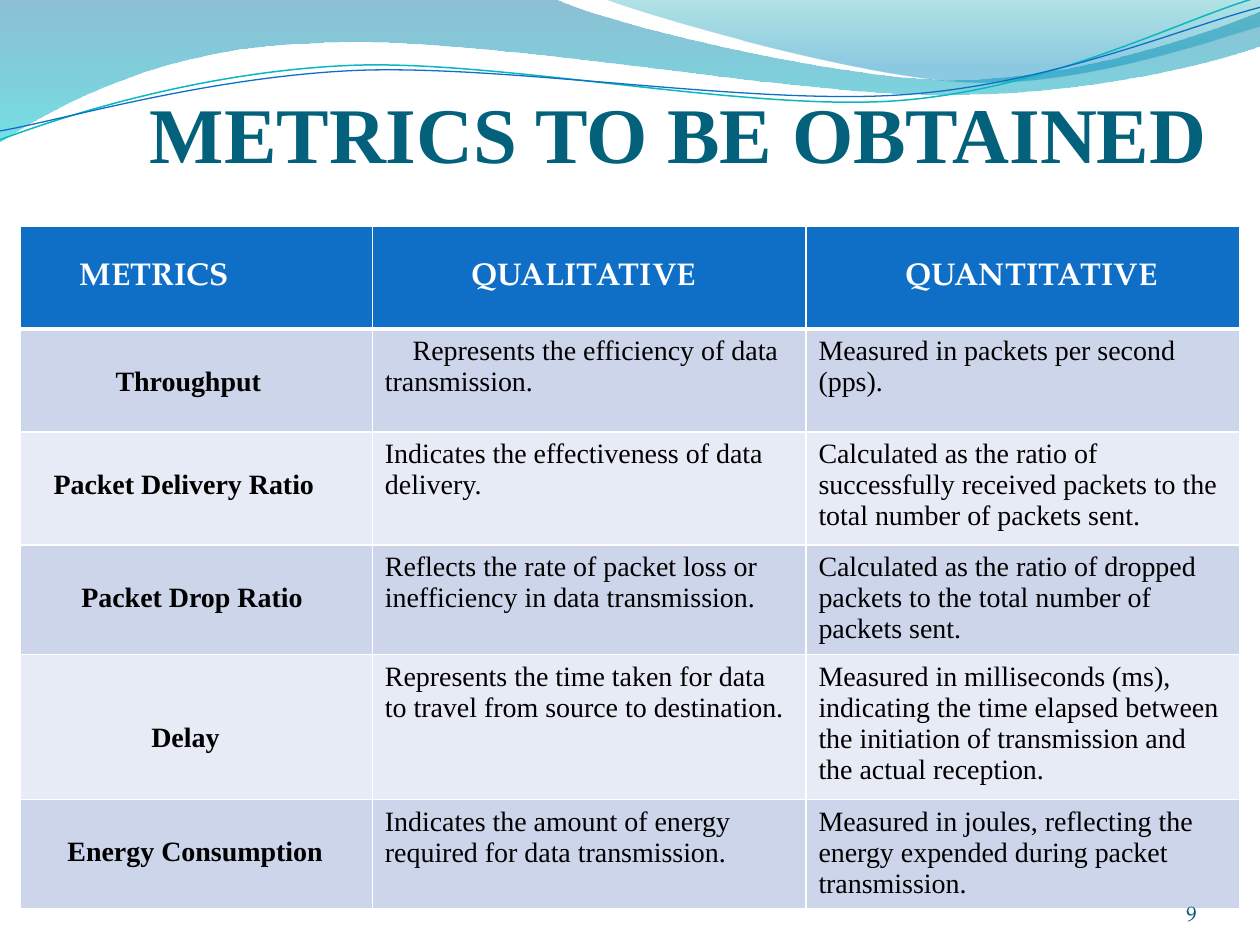
from dataclasses import dataclass

from lxml import etree
from pptx import Presentation
from pptx.dml.color import RGBColor
from pptx.enum.text import MSO_ANCHOR, MSO_AUTO_SIZE, PP_ALIGN
from pptx.oxml.ns import qn
from pptx.util import Cm, Pt

LEFT, RIGHT = PP_ALIGN.LEFT, PP_ALIGN.RIGHT
TOP, MIDDLE, BOTTOM = MSO_ANCHOR.TOP, MSO_ANCHOR.MIDDLE, MSO_ANCHOR.BOTTOM
TITLE_ONLY = 5


@dataclass(frozen=True)
class Theme:
    serif: str = "Times New Roman"
    display: str = "TeX Gyre Pagella"
    title: str = "04617B"
    number: str = "045D75"
    header: str = "0F6FC6"
    bands: tuple = ("CCD5EA", "E7EBF5")
    white: str = "FFFFFF"
    black: str = "000000"
    teal: str = "0AB8BF"
    title_size: float = 45
    header_size: float = 18
    body_size: float = 16
    number_size: float = 12


# Waves in cm: a pair is a straight step, six numbers are a Bezier curve
BAND = [(0, 0), (11.18, -0.03), (12.09, 0.43, 16.87, 1.6, 19.25, 1.6),
        (21.67, 1.6, 24.33, 0.66, 25.4, 0.23), (25.43, 0.91),
        (24.97, 1.12, 22.1, 1.93, 18.95, 1.91),
        (15.8, 1.91, 9.7, 0.71, 6.53, 0.86),
        (3.28, 0.91, 1.17, 2.11, -0.03, 2.87)]
CREST = [(12.17, -0.03), (12.93, 0.28, 17.32, 1.57, 19.53, 1.65),
         (21.74, 1.75, 24.41, 0.81, 25.4, 0.53), (25.4, 0)]
TEAL_LINE = [(0, 2.82), (1.22, 2.36, 4.01, 1.45, 7.04, 1.32),
             (10.03, 1.19, 15.06, 2.26, 18.11, 2.03),
             (21.16, 1.8, 23.83, 0.38, 25.35, -0.05)]
BLUE_LINE = [(0, 2.64), (1.19, 2.44, 4.17, 1.55, 7.19, 1.42),
             (10.24, 1.3, 15.16, 2.13, 18.21, 1.91),
             (21.23, 1.7, 23.9, 0.53, 25.4, 0.15)]

COLUMNS = [7.1, 8.74, 8.74]
HEADER_HEIGHT = 2.06
LINE_STEP = 0.62
PAD_X, PAD_RIGHT, PAD_Y = 0.25, 0.27, 0.13
# Header label, left margin
HEADERS = [("METRICS", 1.2), ("QUALITATIVE", 2), ("QUANTITATIVE", 2)]
# Row height, metric, left margin, lines down, qualitative, its indent, quantitative
METRICS = [
    (2.08, "Throughput", 1.92, 1,
     "Represents the efficiency of data transmission.", 0.56,
     "Measured in packets per second (pps)."),
    (2.28, "Packet Delivery Ratio", 0.67, 1,
     "Indicates the effectiveness of data delivery.", 0,
     "Calculated as the ratio of successfully received packets to the "
     "total number of packets sent."),
    (2.21, "Packet Drop Ratio", 1.23, 1,
     "Reflects the rate of packet loss or inefficiency in data transmission.", 0,
     "Calculated as the ratio of dropped packets to the total number of packets sent."),
    (2.92, "Delay", 2.64, 2,
     "Represents the time taken for data to travel from source to destination.", 0,
     "Measured in milliseconds (ms), indicating the time elapsed between "
     "the initiation of transmission and the actual reception."),
    (2.21, "Energy Consumption", 0.95, 1,
     "Indicates the amount of energy required for data transmission.", 0,
     "Measured in joules, reflecting the energy expended during packet transmission."),
]


def write(tf, text, *, font, size, color, bold=False, align=LEFT, indent=0):
    """Put one formatted paragraph into a text frame."""
    p = tf.paragraphs[0]
    p.alignment = align
    if indent:
        p._p.get_or_add_pPr().set("indent", str(Cm(indent)))
    r = p.add_run()
    r.text = text
    r.font.name, r.font.size, r.font.bold = font, Pt(size), bold
    r.font.color.rgb = RGBColor.from_string(color)


def bend(sp, steps):
    """Turn the straight segments of a freeform into its Bezier curves."""
    segments = list(sp._element.iter(qn("a:lnTo")))
    for segment, step in zip(segments, steps[1:]):
        if len(step) == 2:
            continue
        segment.tag = qn("a:cubicBezTo")
        for i in (0, 2):
            x, y = Cm(step[i]) - sp.left, Cm(step[i + 1]) - sp.top
            control = etree.Element(qn("a:pt"), x=str(x), y=str(y))
            segment.insert(i // 2, control)


class Deck:
    def __init__(self, theme):
        self.theme = theme
        self.prs = Presentation()
        self.prs.slide_width, self.prs.slide_height = Cm(25.4), Cm(19.05)
        self.s = self.prs.slides.add_slide(self.prs.slide_layouts[TITLE_ONLY])

    def outline(self, steps, closed):
        points = [(Cm(step[-2]), Cm(step[-1])) for step in steps]
        builder = self.s.shapes.build_freeform(*points[0])
        builder.add_line_segments(points[1:], close=closed)
        sp = builder.convert_to_shape()
        bend(sp, steps)
        sp.shadow.inherit = False
        return sp

    def wave(self, steps, stops):
        """Filled wave; stops hold colour, position and opacity percent."""
        sp = self.outline(steps, True)
        sp.line.fill.background()
        sp.fill.gradient()
        sp.fill.gradient_angle = 270
        for stop, (color, position, opacity) in zip(sp.fill.gradient_stops, stops):
            stop.color.rgb = RGBColor.from_string(color)
            stop.position = position
            clr = stop._gs.find(qn("a:srgbClr"))
            etree.SubElement(clr, qn("a:alpha"), val=str(opacity * 1000))

    def curve(self, steps, color, width):
        sp = self.outline(steps, False)
        sp.fill.background()
        sp.line.color.rgb = RGBColor.from_string(color)
        sp.line.width = Pt(width)

    def frame(self, sp, box, top_margin=0):
        sp.left, sp.top, sp.width, sp.height = map(Cm, box)
        tf = sp.text_frame
        tf.word_wrap, tf.auto_size = True, MSO_AUTO_SIZE.NONE
        tf.vertical_anchor = BOTTOM
        tf.margin_left = tf.margin_right = tf.margin_bottom = 0
        tf.margin_top = Cm(top_margin)
        return tf

    def title(self, text, box):
        t = self.theme
        tf = self.frame(self.s.shapes.title, box, PAD_Y)
        write(tf, text, font=t.serif, size=t.title_size, color=t.title, bold=True)

    def number(self, text, box):
        t = self.theme
        tf = self.frame(self.s.shapes.add_textbox(0, 0, 0, 0), box)
        write(tf, text, font=t.display, size=t.number_size, color=t.number, align=RIGHT)

    def cell(self, cell, text, fill, *, left=PAD_X, top=PAD_Y, anchor=TOP,
             border_top=1, border_bottom=1, **fmt):
        cell.margin_left, cell.margin_top = Cm(left), Cm(top)
        cell.margin_right, cell.margin_bottom = Cm(PAD_RIGHT), Cm(PAD_Y)
        cell.vertical_anchor = anchor
        tcPr = cell._tc.get_or_add_tcPr()
        widths = {"L": 1, "R": 1, "T": border_top, "B": border_bottom}
        for side, width in widths.items():
            ln = etree.SubElement(tcPr, qn(f"a:ln{side}"), w=str(Pt(width)))
            solid = etree.SubElement(ln, qn("a:solidFill"))
            etree.SubElement(solid, qn("a:srgbClr"), val=self.theme.white)
        cell.fill.solid()
        cell.fill.fore_color.rgb = RGBColor.from_string(fill)
        write(cell.text_frame, text, **fmt)

    def metrics_table(self, left, top):
        t = self.theme
        heights = [HEADER_HEIGHT] + [row[0] for row in METRICS]
        table = self.s.shapes.add_table(
            len(heights), len(COLUMNS), Cm(left), Cm(top),
            Cm(sum(COLUMNS)), Cm(sum(heights))).table
        for column, width in zip(table.columns, COLUMNS):
            column.width = Cm(width)
        for row, height in zip(table.rows, heights):
            row.height = Cm(height)
        for c, (label, margin) in enumerate(HEADERS):
            self.cell(table.cell(0, c), label, t.header, left=margin, anchor=MIDDLE,
                      border_bottom=3, font=t.display, size=t.header_size,
                      color=t.white, bold=True)
        body = dict(font=t.serif, size=t.body_size, color=t.black)
        for r, (_, name, margin, down, quality, indent, quantity) in enumerate(METRICS, 1):
            fill = t.bands[(r - 1) % 2]
            body["border_top"] = 3 if r == 1 else 1
            self.cell(table.cell(r, 0), name, fill, left=margin,
                      top=PAD_Y + down * LINE_STEP, bold=True, **body)
            self.cell(table.cell(r, 1), quality, fill, indent=indent, **body)
            self.cell(table.cell(r, 2), quantity, fill, **body)


def main():
    theme = Theme()
    deck = Deck(theme)
    # Wave decoration
    deck.wave(BAND, [("0074A1", 0, 45), ("00C6CF", 1, 55)])
    deck.wave(CREST, [("00A1A9", 0, 30), ("008BBF", 0.8, 45)])
    deck.curve(TEAL_LINE, theme.teal, 0.85)
    deck.curve(BLUE_LINE, theme.header, 0.75)
    # Title, table and slide number
    deck.title("METRICS TO BE OBTAINED", (3.02, 1.96, 22.86, 1.65))
    deck.metrics_table(0.41, 4.57)
    deck.number("9", (22.02, 17.65, 2.11, 1.02))
    deck.prs.save("out.pptx")


if __name__ == "__main__":
    main()
